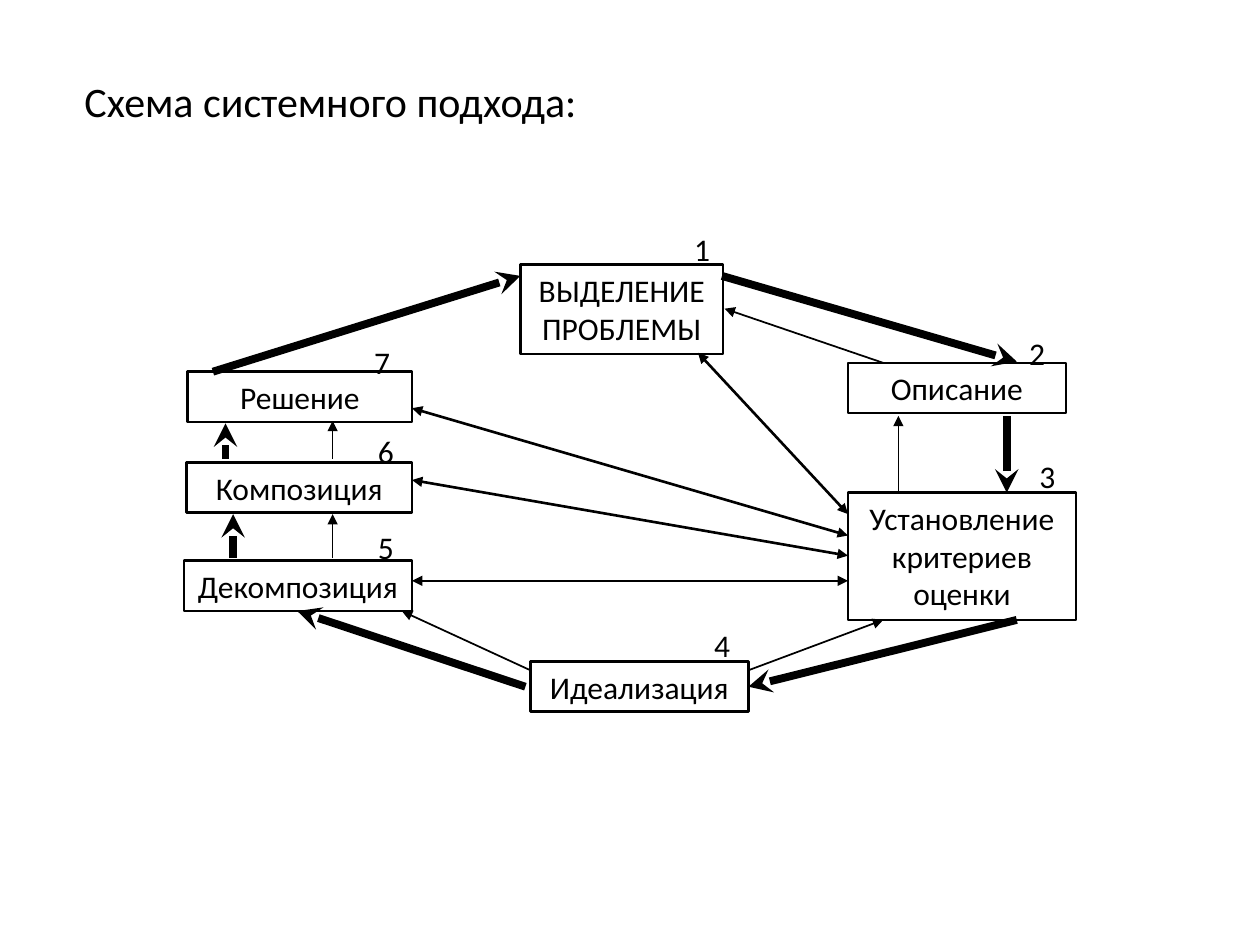
from lxml.etree import SubElement
from pptx import Presentation
from pptx.dml.color import RGBColor
from pptx.enum.shapes import MSO_CONNECTOR as CONN, MSO_SHAPE as SHAPE
from pptx.enum.text import MSO_ANCHOR as ANCHOR, PP_ALIGN as ALIGN
from pptx.oxml.ns import qn
from pptx.util import Inches, Pt

COLORS = {"ink": "000000"}
FONT = "Calibri"

BOXES = [
    ("ВЫДЕЛЕНИЕ ПРОБЛЕМЫ", 4.13, 2.1, 1.61, 0.71),
    ("Описание", 6.73, 2.88, 1.73, 0.4),
    ("Установление критериев оценки", 6.73, 3.91, 1.81, 1.01),
    ("Идеализация", 4.21, 5.25, 1.73, 0.4),
    ("Декомпозиция", 1.46, 4.45, 1.81, 0.4),
    ("Композиция", 1.48, 3.67, 1.79, 0.4),
    ("Решение", 1.49, 2.95, 1.78, 0.4),
]
NUMBER_SPOTS = [(5.41, 1.78), (8.07, 2.6), (8.15, 3.58), (5.57, 4.92),
                (2.9, 4.14), (2.9, 3.38), (2.87, 2.67)]
MAIN_STEPS = [
    (1.69, 2.95, 4.13, 2.19), (5.73, 2.19, 8.07, 2.87),
    (7.99, 3.3, 7.99, 3.91), (8.07, 4.92, 5.94, 5.45),
    (4.17, 5.45, 2.36, 4.85), (1.85, 4.43, 1.85, 4.08),
    (1.79, 3.64, 1.79, 3.36),
]
SIDE_STEPS = [
    (7.01, 2.88, 5.75, 2.45), (7.13, 3.91, 7.13, 3.3),
    (5.94, 5.32, 7.01, 4.92), (2.64, 4.43, 2.64, 4.08),
    (4.21, 5.32, 3.19, 4.85), (2.64, 3.64, 2.64, 3.34),
]
CRITERIA_LINKS = [
    (5.54, 2.8, 6.73, 4.08), (3.27, 3.24, 6.73, 4.25),
    (3.27, 3.81, 6.73, 4.41), (3.27, 4.61, 6.73, 4.61),
]


def color(name):
    """Return the named colour."""
    return RGBColor.from_string(COLORS[name])


def write(sp, text, size=18, align=ALIGN.LEFT, anchor=ANCHOR.TOP):
    """Put one formatted paragraph into a shape."""
    tf = sp.text_frame
    tf.text = text
    tf.word_wrap = True
    tf.vertical_anchor = anchor
    p = tf.paragraphs[0]
    p.alignment = align
    p.font.size = Pt(size)
    p.font.name = FONT
    p.font.color.rgb = color("ink")


def add_title(s, text):
    """Place and format the slide title."""
    sp = s.shapes.title
    sp.left, sp.top, sp.width, sp.height = map(Inches, (0.57, 0.55, 9.21, 0.5))
    write(sp, text, 24)


def add_box(s, text, *place):
    """Add an outlined box with centred text."""
    sp = s.shapes.add_shape(SHAPE.RECTANGLE, *map(Inches, place))
    sp.shadow.inherit = False
    sp.fill.background()
    sp.line.color.rgb = color("ink")
    sp.line.width = Pt(1.5)
    write(sp, text, align=ALIGN.CENTER)


def add_number(s, number, left, top):
    """Add the number of a stage."""
    sp = s.shapes.add_textbox(*map(Inches, (left, top, 0.31, 0.4)))
    write(sp, str(number))


def add_arrow(s, ends, width, tail, head=None):
    """Add a straight arrow with the given arrowheads."""
    sp = s.shapes.add_connector(CONN.STRAIGHT, *map(Inches, ends))
    sp.line.color.rgb = color("ink")
    sp.line.width = Pt(width)
    ln = sp.line._get_or_add_ln()
    for tag, kind in (("a:headEnd", head), ("a:tailEnd", tail)):
        if kind:
            SubElement(ln, qn(tag), type=kind)
    SubElement(sp._element.spPr, qn("a:effectLst"))


def main():
    """Build the slide and save it."""
    prs = Presentation()
    prs.slide_width, prs.slide_height = Inches(10), Inches(7.5)
    s = prs.slides.add_slide(prs.slide_layouts[5])
    add_title(s, "Схема системного подхода:")
    for box in BOXES:
        add_box(s, *box)
    for number, spot in enumerate(NUMBER_SPOTS, 1):
        add_number(s, number, *spot)
    for ends in MAIN_STEPS:
        add_arrow(s, ends, 4.5, "stealth")
    for ends in SIDE_STEPS:
        add_arrow(s, ends, 1, "triangle")
    for ends in CRITERIA_LINKS:
        add_arrow(s, ends, 1.5, "triangle", "triangle")
    prs.save("out.pptx")


main()
